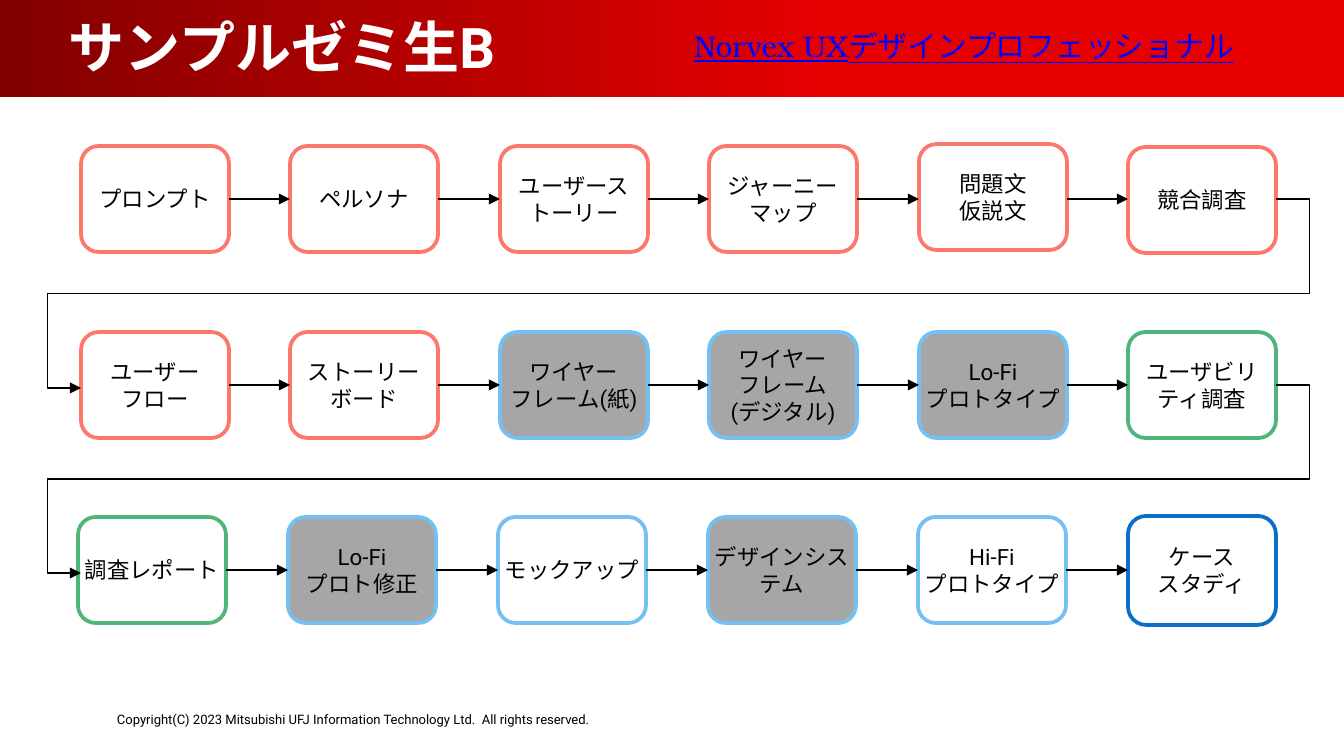
from copy import deepcopy
from dataclasses import dataclass

from lxml.etree import SubElement
from pptx import Presentation
from pptx.dml.color import RGBColor
from pptx.enum.shapes import MSO_CONNECTOR as Link, MSO_SHAPE as Shape
from pptx.enum.text import MSO_ANCHOR as Anchor, MSO_AUTO_SIZE as AutoSize, PP_ALIGN as Align
from pptx.oxml.ns import qn
from pptx.util import Emu, Pt

BLACK = RGBColor(0x00, 0x00, 0x00)
WHITE = RGBColor(0xFF, 0xFF, 0xFF)
GREY = RGBColor(0xA6, 0xA6, 0xA6)
CORAL = RGBColor(0xFC, 0x77, 0x6C)
SKY = RGBColor(0x74, 0xC0, 0xF0)
GREEN = RGBColor(0x4F, 0xB5, 0x78)
NAVY = RGBColor(0x0B, 0x6F, 0xCA)
DARK_RED = RGBColor(0x82, 0x00, 0x00)
RED = RGBColor(0xE6, 0x00, 0x00)
LINK_BLUE = RGBColor(0x00, 0x00, 0xFF)

EMU_PER_PX = 6804
STEP_WIDTH = 148
STEP_HEIGHT = 106
LAST_LEFT = 1128
BANNER_HEIGHT = 97


@dataclass(frozen=True)
class Step:
    text: str
    outline: RGBColor
    fill: RGBColor = WHITE
    shift: int = 0
    height: int = STEP_HEIGHT


@dataclass(frozen=True)
class Row:
    left: int
    top: int
    steps: tuple[Step, ...]

    @property
    def middle(self) -> int:
        return self.top + STEP_HEIGHT // 2

    def step_left(self, column: int) -> int:
        return self.left + round((LAST_LEFT - self.left) * column / (len(self.steps) - 1))


ROWS = (
    Row(81, 146, (
        Step("プロンプト", CORAL),
        Step("ペルソナ", CORAL),
        Step("ユーザーストーリー", CORAL),
        Step("ジャーニーマップ", CORAL),
        Step("問題文\n仮説文", CORAL, shift=-2),
        Step("競合調査", CORAL, shift=1),
    )),
    Row(81, 332, (
        Step("ユーザー\nフロー", CORAL),
        Step("ストーリーボード", CORAL),
        Step("ワイヤー\nフレーム(紙)", SKY, GREY),
        Step("ワイヤー\nフレーム\n(デジタル)", SKY, GREY),
        Step("Lo-Fi\nプロトタイプ", SKY, GREY),
        Step("ユーザビリティ調査", GREEN),
    )),
    Row(78, 517, (
        Step("調査レポート", GREEN),
        Step("Lo-Fi\nプロト修正", SKY, GREY),
        Step("モックアップ", SKY),
        Step("デザインシステム", SKY, GREY),
        Step("Hi-Fi\nプロトタイプ", SKY),
        Step("ケース\nスタディ", NAVY, shift=-1, height=109),
    )),
)


def px(length: int) -> Emu:
    return Emu(length * EMU_PER_PX)


def write_text(box, text: str, size: int, color: RGBColor, font="Roboto",
               align=Align.LEFT, anchor=Anchor.TOP, wrap=True, bold=False, underline=False) -> None:
    frame = box.text_frame
    frame.auto_size = AutoSize.NONE
    frame.word_wrap = wrap
    frame.vertical_anchor = anchor
    frame.margin_left = frame.margin_right = frame.margin_top = frame.margin_bottom = 0
    frame.text = text
    for para in frame.paragraphs:
        para.alignment = align
        para.font.name = font
        para.font.size = Pt(size)
        para.font.bold = bold
        para.font.underline = underline
        para.font.color.rgb = color


def add_banner(page) -> None:
    banner = page.shapes.add_shape(Shape.RECTANGLE, 0, 0, px(1344), px(BANNER_HEIGHT))
    banner.shadow.inherit = False
    banner.line.fill.background()
    banner.fill.gradient()
    banner.fill.gradient_angle = 0
    first, last = banner.fill.gradient_stops
    first.color.rgb = DARK_RED
    last.color.rgb = RED
    stops = banner._element.spPr.find(f".//{qn('a:gsLst')}")
    stops.insert(1, deepcopy(stops[1]))
    banner.fill.gradient_stops[1].position = 0.62
    page.shapes._spTree.insert(2, banner._element)


def add_step(page, step: Step, left: int, top: int) -> None:
    box = page.shapes.add_shape(Shape.ROUNDED_RECTANGLE, px(left), px(top + step.shift),
                                px(STEP_WIDTH), px(step.height))
    box.shadow.inherit = False
    box.fill.solid()
    box.fill.fore_color.rgb = step.fill
    box.line.color.rgb = step.outline
    box.line.width = Pt(2)
    write_text(box, step.text, 12, BLACK, align=Align.CENTER, anchor=Anchor.MIDDLE)


def add_arrow(page, start: tuple[int, int], end: tuple[int, int], kind=Link.STRAIGHT):
    arrow = page.shapes.add_connector(kind, *map(px, start + end))
    arrow.line.color.rgb = BLACK
    arrow.line.width = Pt(0.75)
    SubElement(arrow.line._get_or_add_ln(), qn("a:tailEnd"), type="triangle")
    SubElement(arrow._element.spPr, qn("a:effectLst"))
    return arrow


def add_return_arrow(page, upper: Row, lower: Row) -> None:
    start = (LAST_LEFT + STEP_WIDTH, upper.middle)
    arrow = add_arrow(page, start, (81, lower.middle + 3), Link.ELBOW)
    geometry = arrow._element.spPr.find(qn("a:prstGeom"))
    geometry.set("prst", "bentConnector5")
    guides = geometry.find(qn("a:avLst"))
    for number, value in enumerate((-2800, 50000, 102800), start=1):
        SubElement(guides, qn("a:gd"), name=f"adj{number}", fmla=f"val {value}")


def add_row(page, row: Row) -> None:
    for column, step in enumerate(row.steps):
        left = row.step_left(column)
        add_step(page, step, left, row.top)
        if column:
            tail = row.step_left(column - 1) + STEP_WIDTH
            add_arrow(page, (tail, row.middle), (left, row.middle))


def main() -> None:
    deck = Presentation()
    deck.slide_width, deck.slide_height = px(1344), px(756)
    page = deck.slides.add_slide(deck.slide_layouts[5])
    add_banner(page)

    title = page.shapes.title
    title.left, title.top, title.width, title.height = map(px, (69, 13, 530, 67))
    write_text(title, "サンプルゼミ生B", 30, WHITE, anchor=Anchor.BOTTOM, bold=True)

    for row in ROWS:
        add_row(page, row)
    for upper, lower in zip(ROWS, ROWS[1:]):
        add_return_arrow(page, upper, lower)

    course = page.shapes.add_textbox(*map(px, (694, 28, 550, 43)))
    write_text(course, "Norvex UXデザインプロフェッショナル", 16, LINK_BLUE,
               font="TeX Gyre Bonum", wrap=False, underline=True)
    footer = page.shapes.add_textbox(*map(px, (117, 711, 757, 16)))
    write_text(footer, "Copyright(C) 2023 Mitsubishi UFJ Information Technology Ltd.  All rights reserved.",
               7, BLACK)
    deck.save("out.pptx")


if __name__ == "__main__":
    main()
